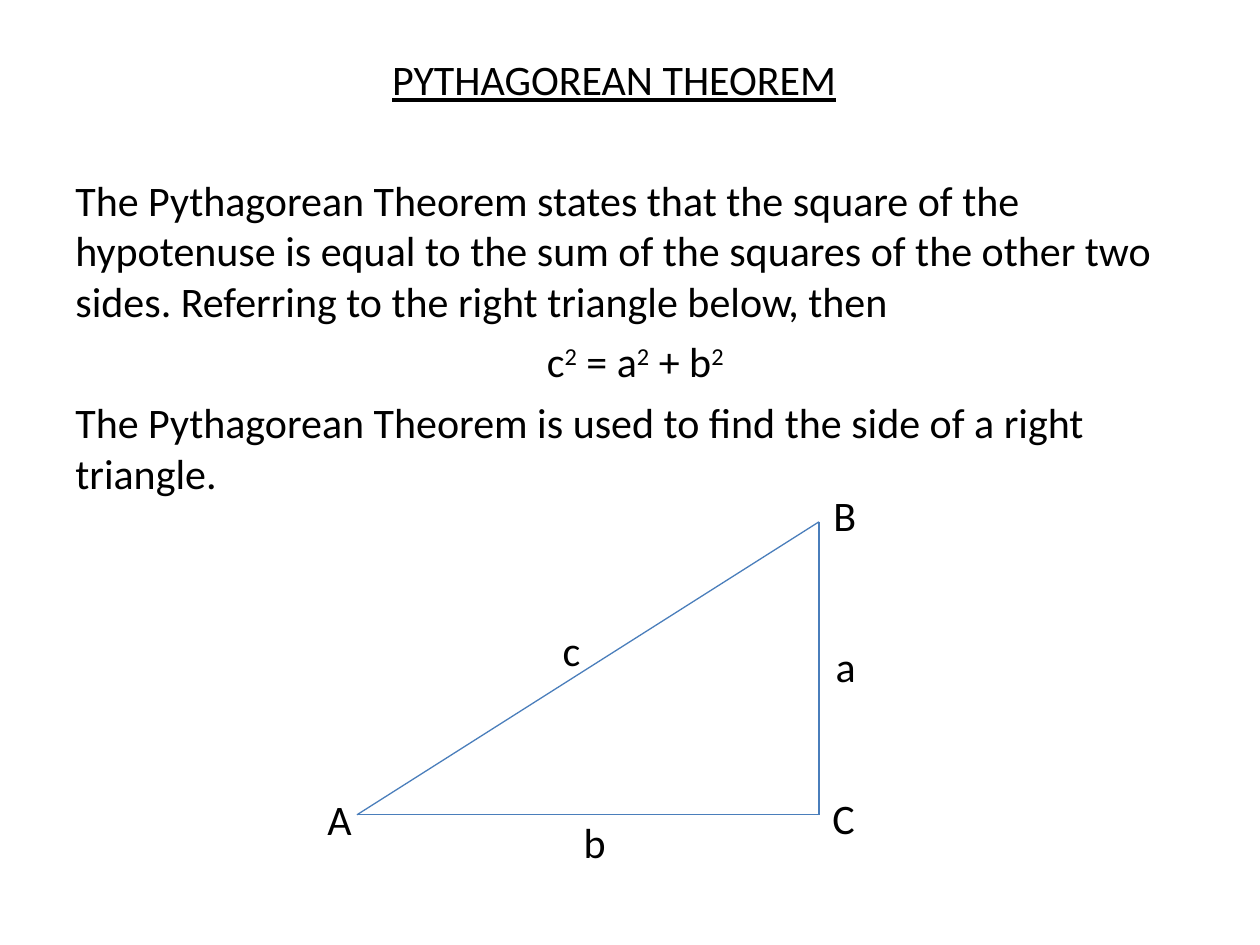
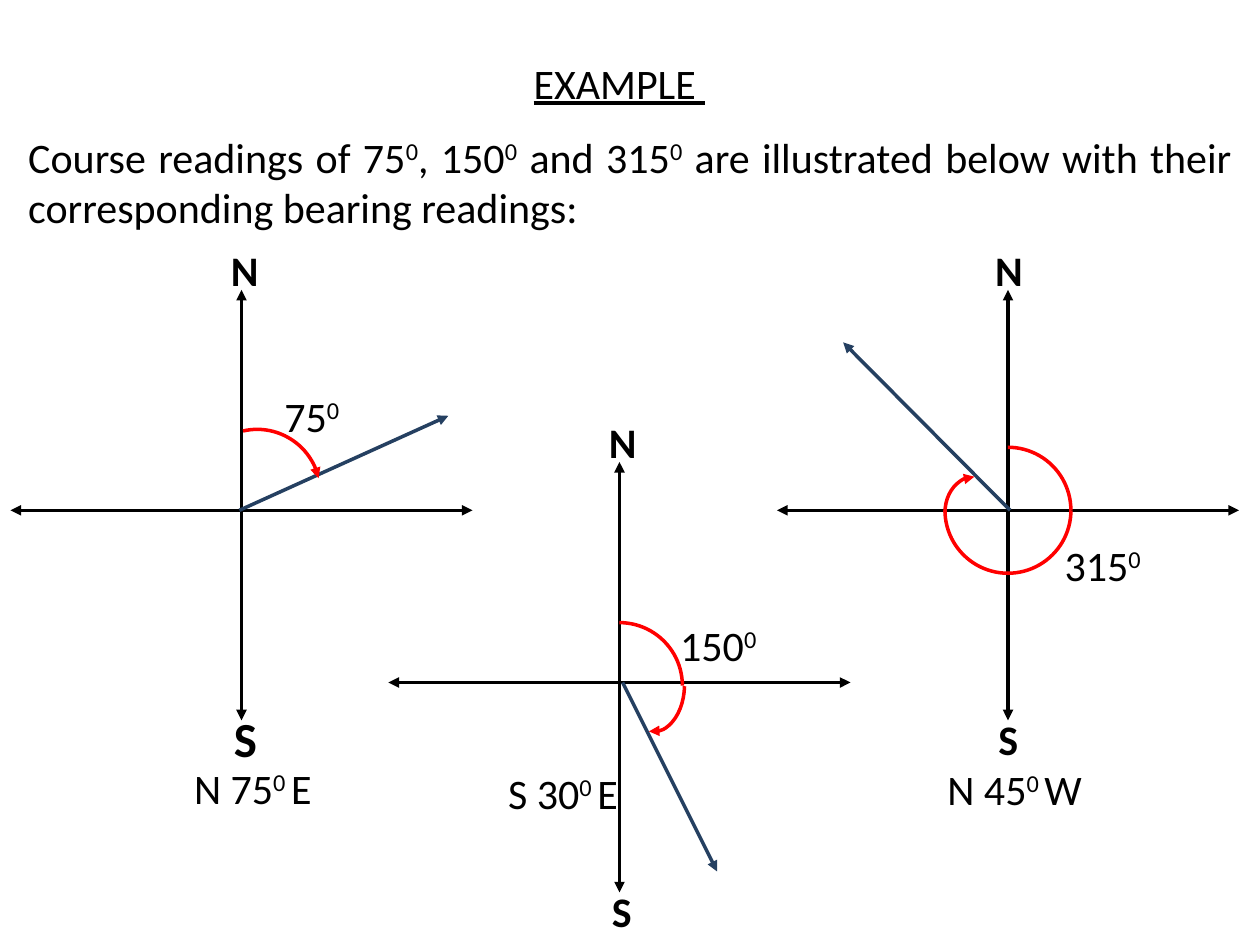
from pptx import Presentation
from pptx import util as u
from pptx.dml.color import RGBColor
from pptx.enum import shapes, text
from pptx.oxml.ns import qn
from lxml import etree

# Shared look; lengths are cells of a 120 x 90 grid
COLS, ROWS = 120, 90
WIDE, HIGH = u.Inches(10), u.Inches(7.5)
FONT, SIZE = "Calibri", 24
INK, SIDE, RAY, TURN = "000000", "4A7EBB", "254061", "FF0000"
LEFT, MID, JUST = (text.PP_ALIGN.LEFT, text.PP_ALIGN.CENTER,
                   text.PP_ALIGN.JUSTIFY)


def col(n):
    return round(WIDE * n / COLS)


def row(n):
    return round(HIGH * n / ROWS)


def rgb(code):
    return RGBColor.from_string(code)


def write(para, words, size=SIZE, bold=False, under=False):
    """Add runs; the parts between ^ marks are raised."""
    for i, part in enumerate(words.split("^")):
        if not part:
            continue
        run = para.add_run()
        run.text = part
        font = run.font
        font.name, font.size = FONT, u.Pt(size)
        font.bold, font.underline = bold, under
        font.color.rgb = rgb(INK)
        if i % 2:
            font._element.set("baseline", "30000")


def block(slide, box, paras, anchor=text.MSO_ANCHOR.TOP, **look):
    """Wrapped text; paras holds (alignment, words) pairs."""
    x, y, w, h = box
    frame = slide.shapes.add_textbox(col(x), row(y), col(w), row(h)).text_frame
    frame.word_wrap = True
    frame.vertical_anchor = anchor
    for i, (align, words) in enumerate(paras):
        para = frame.add_paragraph() if i else frame.paragraphs[0]
        para.alignment = align
        if i:
            para.space_before = u.Pt(6)
        write(para, words, **look)
    return frame


def title(slide, box, words):
    block(slide, box, [(MID, words)], text.MSO_ANCHOR.MIDDLE, under=True)


def label(slide, x, y, words, w=5, wrap=False, size=SIZE, bold=False):
    """Short text centred on a grid point."""
    h = size / 4
    frame = block(slide, (x - w / 2, y - h / 2, w, h), [(LEFT, words)],
                  size=size, bold=bold)
    frame.word_wrap = wrap
    frame.auto_size = text.MSO_AUTO_SIZE.SHAPE_TO_FIT_TEXT


def stroke(shape, color, width, ends=()):
    shape.line.color.rgb = rgb(color)
    shape.line.width = u.Pt(width)
    ln = shape.line._get_or_add_ln()
    for end in ends:
        etree.SubElement(ln, qn("a:" + end), type="triangle")


def line(slide, start, stop, color, width=2, ends=()):
    link = slide.shapes.add_connector(
        shapes.MSO_CONNECTOR.STRAIGHT,
        col(start[0]), row(start[1]), col(stop[0]), row(stop[1]))
    stroke(link, color, width, ends)
    etree.SubElement(link._element.spPr, qn("a:effectLst"))


def arc(slide, x, y, rx, ry, start, stop, ends=()):
    """Clockwise arc about a centre, angles in degrees from east."""
    curve = slide.shapes.add_shape(
        shapes.MSO_SHAPE.ARC,
        col(x - rx), row(y - ry), col(2 * rx), row(2 * ry))
    curve.shadow.inherit = False
    curve.fill.background()
    # Stored angles are 60000ths of a degree, adjustments 100000ths
    curve.adjustments[0], curve.adjustments[1] = start * 0.6, stop * 0.6
    stroke(curve, TURN, 2, ends)


def compass(slide, x, y, shift, south, ray, arcs, notes):
    """Axes, course ray, turn arcs and readings, placed from the centre."""
    both = ("headEnd", "tailEnd")
    line(slide, (x, y - 21), (x, y + 20), INK, ends=both)
    line(slide, (x + 22, y), (x - 22, y), INK, ends=both)
    dx, dy, foot = ray
    line(slide, (x + dx, y + dy), (x + foot, y), RAY, ends=("headEnd",))
    label(slide, x + shift, y - 22.9, "N", bold=True)
    label(slide, x + shift, y + 21.75, "S", 4.4, size=south, bold=True)
    for i, (dx, dy, *rest) in enumerate(arcs, 1):
        arc(slide, x + dx, y + dy, *rest,
            ends=("tailEnd",) if i == len(arcs) else ())
    for dx, dy, words, w in notes:
        label(slide, x + dx, y + dy, words, w)


def theorem(slide):
    title(slide, (32, 4, 53, 7), "PYTHAGOREAN THEOREM")
    block(slide, (6, 16, 109, 32), [
        (LEFT, "The Pythagorean Theorem states that the square of the "
               "hypotenuse is equal to the sum of the squares of the other "
               "two sides. Referring to the right triangle below, then"),
        (MID, "c^2^ = a^2^ + b^2"),
        (LEFT, "The Pythagorean Theorem is used to find the side of a right "
               "triangle.")])
    # Right triangle
    a, b, c = (34, 77.6), (78, 49.7), (78, 77.6)
    for start, stop in ((a, c), (a, b), (b, c)):
        line(slide, start, stop, SIDE, 0.75)
    for x, y, name in ((80.7, 49, "B"), (80.6, 77.9, "C"), (32.5, 78, "A"),
                       (54.9, 61.9, "c"), (80.9, 63.4, "a"),
                       (56.9, 80.2, "b")):
        label(slide, x, y, name, wrap=True)


def example(slide):
    title(slide, (46, 4.3, 26, 7.1), "EXAMPLE ")
    block(slide, (1.5, 11.9, 117, 12.5), [
        (JUST, "Course readings of 75^0^, 150^0^ and 315^0^ are illustrated "
               "below with their corresponding bearing readings:")])
    # Three courses; label widths leave room to stay on one line
    compass(slide, 23, 48.6, 0.3, 28, (19.7, -9, -0.2),
            [(1.5, -1.7, 6, 6, 257, 347)],
            [(7, -9, "75^0", 8.2), (1.4, 26.4, "N 75^0 ^E", 14.2)])
    compass(slide, 59, 65, 0.3, 24, (9.3, 18, 0.3),
            [(0, 0.3, 6, 6, 270, 0), (3.2, 0.2, 3, 4.5, 3, 95)],
            [(9.8, -3.6, "150^0", 10.4), (-5, 10.5, "S 30^0 ^E", 13.6)])
    quarters = [(0, 0, 6, 6, turn, (turn + 90) % 360) for turn in (270, 0, 90)]
    compass(slide, 96, 48.6, 0.1, 24, (-15.7, -16, 0.2),
            quarters + [(-3.2, 0.2, 2.8, 3.4, 180, 270)],
            [(9.4, 5.2, "315^0", 10.4), (1, 26.5, "N 45^0 ^W", 15.9)])


def main():
    deck = Presentation()
    deck.slide_width, deck.slide_height = WIDE, HIGH
    for draw in (theorem, example):
        draw(deck.slides.add_slide(deck.slide_layouts[6]))
    deck.save("out.pptx")


if __name__ == "__main__":
    main()
